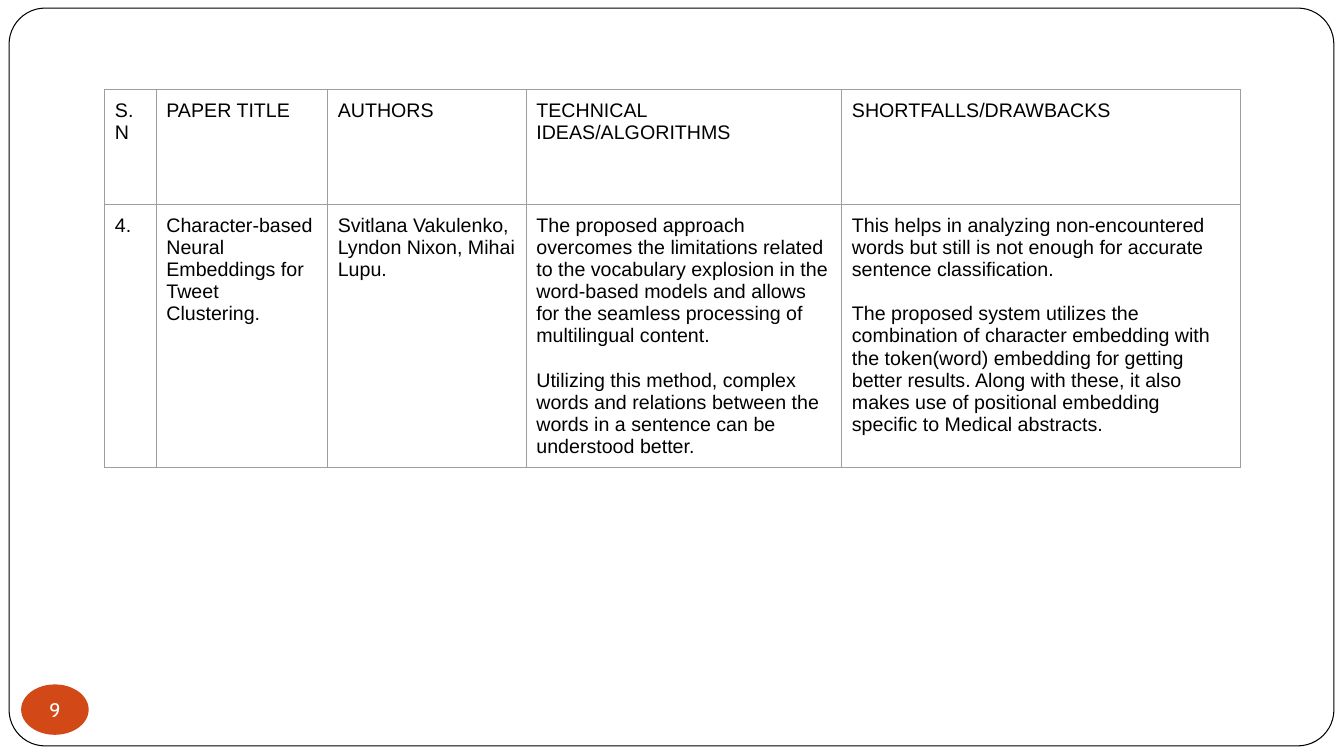
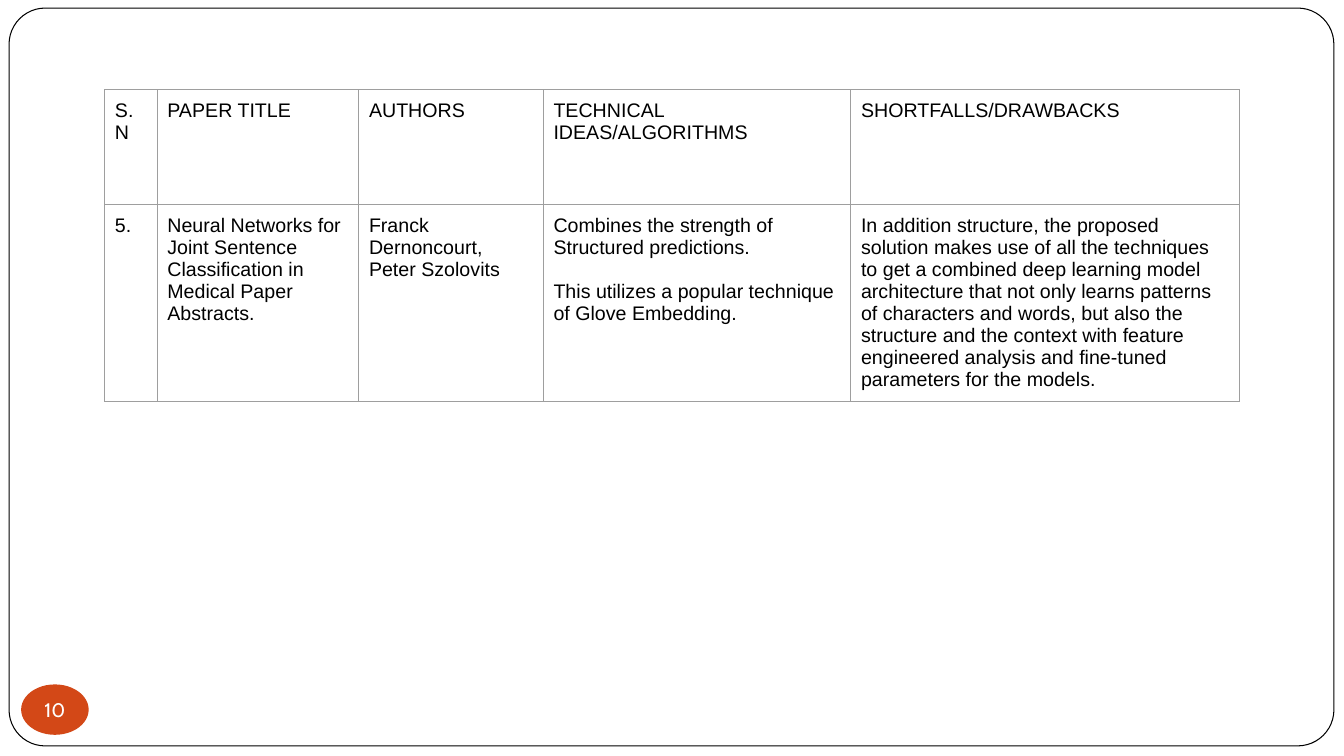
import pptx
import pptx.util
import pptx.dml.color
import pptx.enum.shapes
import pptx.enum.text
import pptx.oxml
import pptx.oxml.ns

Inches = pptx.util.Inches
Pt = pptx.util.Pt
RGBColor = pptx.dml.color.RGBColor
MSO_SHAPE = pptx.enum.shapes.MSO_SHAPE

BLACK = RGBColor(0x00, 0x00, 0x00)
WHITE = RGBColor(0xFF, 0xFF, 0xFF)
ORANGE = RGBColor(0xD3, 0x48, 0x17)
GREY = RGBColor(0x9E, 0x9E, 0x9E)

HEADERS = ["S.N", "PAPER TITLE", "AUTHORS", "TECHNICAL IDEAS/ALGORITHMS",
           "SHORTFALLS/DRAWBACKS"]

SLIDES = [
    {
        "number": 9,
        "widths": [0.51, 1.7, 1.97, 3.13, 3.95],
        "paper": [
            ["4."],
            ["Character-based Neural Embeddings for Tweet Clustering."],
            ["Svitlana Vakulenko, Lyndon Nixon, Mihai Lupu."],
            ["The proposed approach overcomes the limitations related to the "
             "vocabulary explosion in the word-based models and allows for the "
             "seamless processing of multilingual content.",
             "Utilizing this method, complex words and relations between the "
             "words in a sentence can be understood better."],
            ["This helps in analyzing non-encountered words but still is not "
             "enough for accurate sentence classification.",
             "The proposed system utilizes the combination of character "
             "embedding with the token(word) embedding for getting better "
             "results. Along with these, it also makes use of positional "
             "embedding specific to Medical abstracts."],
        ],
    },
    {
        "number": 10,
        "widths": [0.52, 2, 1.83, 3.05, 3.85],
        "paper": [
            ["5."],
            ["Neural Networks for Joint Sentence Classification in Medical "
             "Paper Abstracts."],
            ["Franck Dernoncourt, Peter Szolovits"],
            ["Combines the strength of Structured predictions.",
             "This utilizes a popular technique of Glove Embedding."],
            ["In addition structure, the proposed solution makes use of all the "
             "techniques to get a combined deep learning model architecture "
             "that not only learns patterns of characters and words, but also "
             "the structure and the context with feature engineered analysis "
             "and fine-tuned parameters for the models."],
        ],
    },
]


class Deck:
    body = {"name": "Arial", "size": Pt(14), "color": BLACK}
    badge = {"name": "Cabin", "size": Pt(14), "color": WHITE}
    inset = Inches(0.1)
    paragraph_gap = Pt(16)
    row_heights = [1.14, 0.97]

    def __init__(self):
        self.prs = pptx.Presentation()
        self.prs.slide_width = Inches(13.33)
        self.prs.slide_height = Inches(7.5)
        self.s = None

    def new_slide(self, number):
        self.s = self.prs.slides.add_slide(self.prs.slide_layouts[6])
        frame = self.shape(MSO_SHAPE.ROUNDED_RECTANGLE,
                           (0.09, 0.08, 13.14, 7.32), WHITE, BLACK)
        frame.adjustments[0] = 0.049
        self.page_number(number)

    def shape(self, kind, box, fill, line=None):
        sp = self.s.shapes.add_shape(kind, *map(Inches, box))
        sp.shadow.inherit = False
        sp.fill.solid()
        sp.fill.fore_color.rgb = fill
        if line is None:
            sp.line.fill.background()
        else:
            sp.line.color.rgb = line
            sp.line.width = Pt(0.75)
        return sp

    def page_number(self, number):
        sp = self.shape(MSO_SHAPE.OVAL, (0.21, 6.79, 0.67, 0.5), ORANGE)
        tf = sp.text_frame
        self.margins(tf, 0)
        tf.vertical_anchor = pptx.enum.text.MSO_ANCHOR.MIDDLE
        p = tf.paragraphs[0]
        p.alignment = pptx.enum.text.PP_ALIGN.CENTER
        self.run(p, str(number), self.badge)

    def margins(self, target, size):
        for side in ("left", "top", "right", "bottom"):
            setattr(target, f"margin_{side}", size)

    def run(self, p, text, style):
        r = p.add_run()
        r.text = text
        for key, value in style.items():
            if key == "color":
                r.font.color.rgb = value
            else:
                setattr(r.font, key, value)

    def table(self, widths, rows):
        shape = self.s.shapes.add_table(
            len(rows), len(widths), Inches(1.04), Inches(0.89),
            Inches(sum(widths)), Inches(sum(self.row_heights)))
        table = shape.table
        table.first_row = False
        table.horz_banding = False
        for column, width in zip(table.columns, widths):
            column.width = Inches(width)
        for row, height, texts in zip(table.rows, self.row_heights, rows):
            row.height = Inches(height)
            for cell, paragraphs in zip(row.cells, texts):
                self.cell(cell, paragraphs)

    def cell(self, cell, paragraphs):
        self.margins(cell, self.inset)
        self.borders(cell)
        cell.fill.background()
        tf = cell.text_frame
        for i, text in enumerate(paragraphs):
            p = tf.add_paragraph() if i else tf.paragraphs[0]
            if i:
                p.space_before = self.paragraph_gap
            self.run(p, text, self.body)

    def borders(self, cell):
        tc_pr = cell._tc.get_or_add_tcPr()
        for side in ("lnL", "lnR", "lnT", "lnB"):
            tc_pr.append(pptx.oxml.parse_xml(
                f'<a:{side} {pptx.oxml.ns.nsdecls("a")} w="{Pt(0.75)}">'
                f'<a:solidFill><a:srgbClr val="{GREY}"/></a:solidFill>'
                f'</a:{side}>'))


def main():
    deck = Deck()
    header = [[text] for text in HEADERS]
    for slide in SLIDES:
        deck.new_slide(slide["number"])
        deck.table(slide["widths"], [header, slide["paper"]])
    deck.prs.save("out.pptx")


if __name__ == "__main__":
    main()
